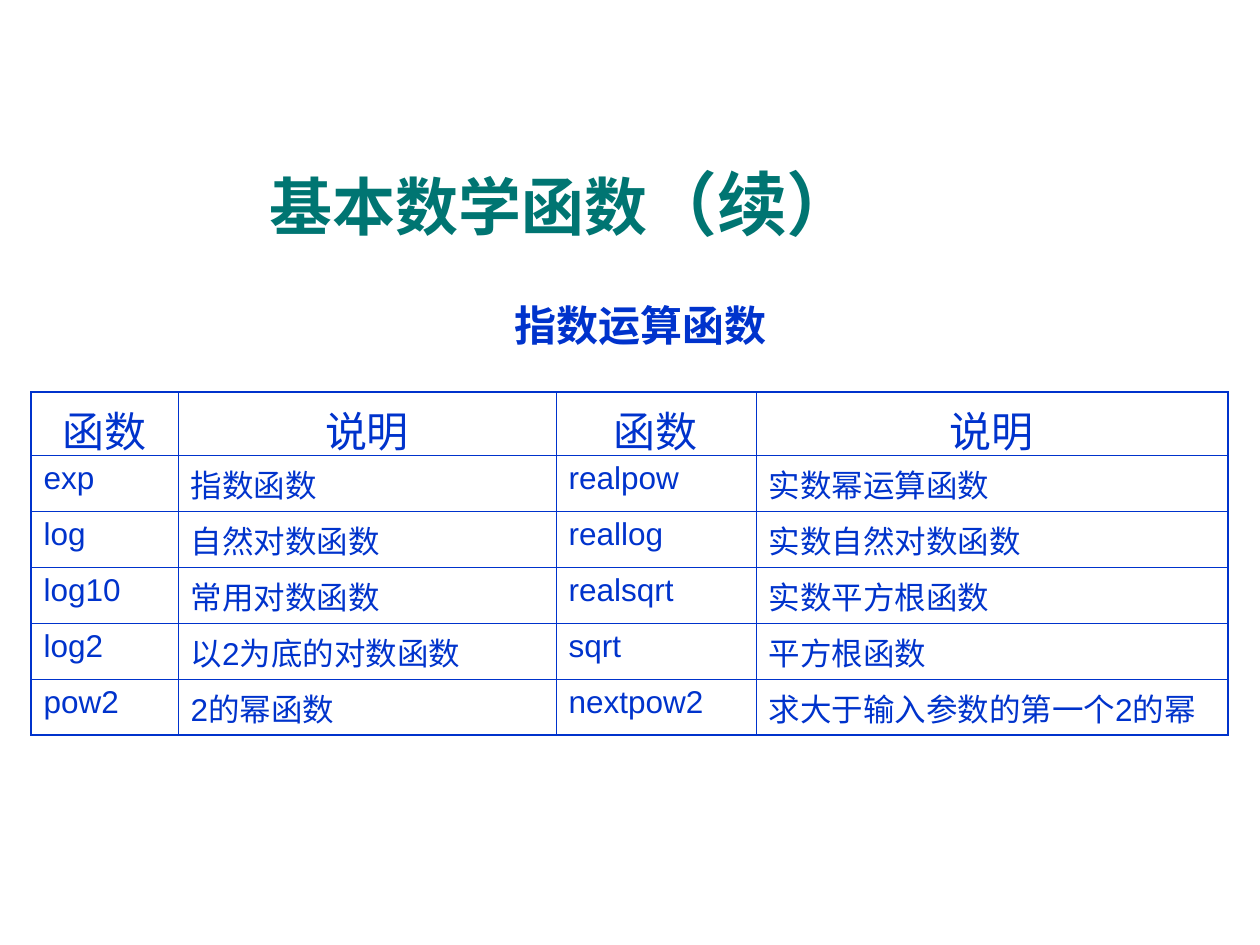
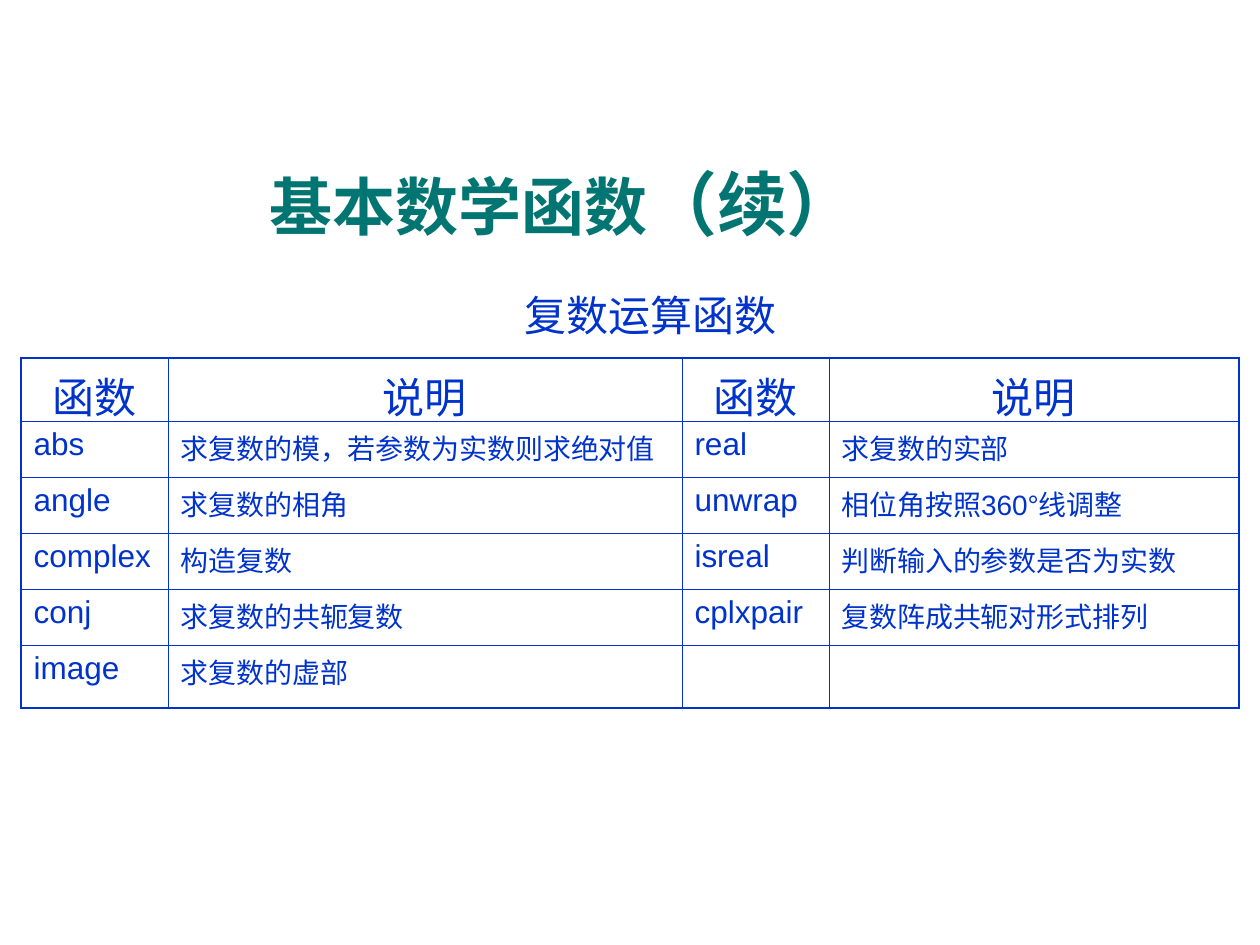
from lxml import etree
from pptx import Presentation
from pptx import util as u
from pptx.dml.color import RGBColor
from pptx.enum import text
from pptx.oxml.ns import qn

PX = u.Inches(1) / 126
FONT = "Arial"
BLUE, TEAL = "0033CC", "007572"
THIN, THICK = 0.45, 1.08
HEADER_HEIGHT, ROW_HEIGHT = 63, 56
HEADINGS = ("函数", "说明", "函数", "说明")

EXPONENTIAL_ROWS = [
    ("exp", "指数函数", "realpow", "实数幂运算函数"),
    ("log", "自然对数函数", "reallog", "实数自然对数函数"),
    ("log10", "常用对数函数", "realsqrt", "实数平方根函数"),
    ("log2", "以2为底的对数函数", "sqrt", "平方根函数"),
    ("pow2", "2的幂函数", "nextpow2", "求大于输入参数的第一个2的幂"),
]
COMPLEX_ROWS = [
    ("abs", "求复数的模，若参数为实数则求绝对值", "real", "求复数的实部"),
    ("angle", "求复数的相角", "unwrap", "相位角按照360°线调整"),
    ("complex", "构造复数", "isreal", "判断输入的参数是否为实数"),
    ("conj", "求复数的共轭复数", "cplxpair", "复数阵成共轭对形式排列"),
    ("image", "求复数的虚部", "", ""),
]


def px(length):
    return u.Emu(round(length * PX))


def color(value):
    return RGBColor.from_string(value)


def style(para, size, shade, bold=False, centered=False):
    font = para.font
    font.name, font.bold = FONT, bold
    font.color.rgb = color(shade)
    if size:
        font.size = u.Pt(size)
    para.alignment = text.PP_ALIGN.CENTER if centered else text.PP_ALIGN.LEFT


def add_box(page, left, top, width, height):
    box = page.shapes.add_textbox(px(left), px(top), px(width), px(height))
    box.text_frame.word_wrap = True
    return box.text_frame


def add_title(page):
    frame = add_box(page, 74, 154, 978, 97)
    frame.vertical_anchor = text.MSO_ANCHOR.MIDDLE
    frame.auto_size = text.MSO_AUTO_SIZE.SHAPE_TO_FIT_TEXT
    para = frame.paragraphs[0]
    style(para, None, TEAL, bold=True, centered=True)
    for words, size in (("基本数学函数", 36), ("（续）", 40)):
        span = para.add_run()
        span.text = words
        span.font.size = u.Pt(size)


def add_subtitle(page, words, left, top, bold):
    para = add_box(page, left, top, 1092, 78).paragraphs[0]
    para.text = words
    para.line_spacing = 1.3
    properties = para._p.get_or_add_pPr()
    properties.set("marL", str(px(136)))
    properties.set("indent", str(px(-73)))
    style(para, 24, BLUE, bold, centered=True)


def add_borders(cell, widths):
    """Draw the left, right, top and bottom edges of a cell."""
    properties = cell._tc.get_or_add_tcPr()
    for side, width in zip("LRTB", widths):
        line = etree.SubElement(properties, qn(f"a:ln{side}"), w=str(u.Pt(width)))
        fill = etree.SubElement(line, qn("a:solidFill"))
        etree.SubElement(fill, qn("a:srgbClr"), val=BLUE)


def add_function_table(page, left, top, columns, rows, description_size, last_height):
    heights = [HEADER_HEIGHT] + [ROW_HEIGHT] * (len(rows) - 1) + [last_height]
    table = page.shapes.add_table(
        len(heights), len(columns), px(left), px(top), px(sum(columns)), px(sum(heights))
    ).table
    table.first_row = table.horz_banding = False
    for column, width in zip(table.columns, columns):
        column.width = px(width)
    for row, height in zip(table.rows, heights):
        row.height = px(height)

    last_row, last_column = len(rows), len(columns) - 1
    for r, values in enumerate([HEADINGS, *rows]):
        for c, value in enumerate(values):
            cell = table.cell(r, c)
            outer = (c == 0, c == last_column, r == 0, r == last_row)
            add_borders(cell, [THICK if edge else THIN for edge in outer])
            cell.fill.background()
            para = cell.text_frame.paragraphs[0]
            if value:
                para.text = value
            size = 24 if r == 0 else description_size if c % 2 else 18
            style(para, size, BLUE, centered=r == 0)


def main():
    deck = Presentation()
    deck.slide_width, deck.slide_height = px(1260), px(945)
    blank = deck.slide_layouts[6]

    # Exponential functions
    page = deck.slides.add_slide(blank)
    add_subtitle(page, "指数运算函数", 63, 278, bold=True)
    add_title(page)
    add_function_table(page, 31, 392, (147, 378, 200, 472), EXPONENTIAL_ROWS, 18, ROW_HEIGHT)

    # Complex-number functions
    page = deck.slides.add_slide(blank)
    add_subtitle(page, "复数运算函数", 73, 268, bold=False)
    add_title(page)
    add_function_table(page, 21, 358, (147, 514, 147, 410), COMPLEX_ROWS, 16, HEADER_HEIGHT)

    deck.save("out.pptx")


if __name__ == "__main__":
    main()
